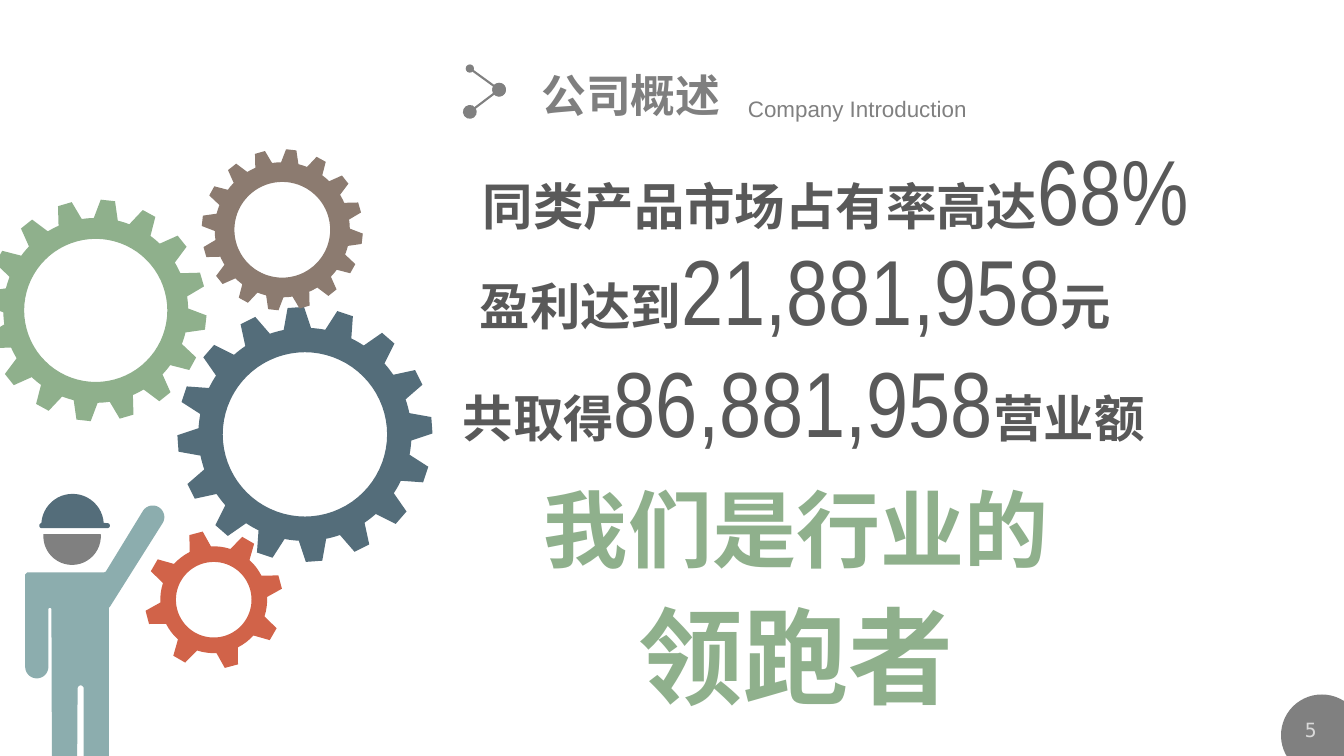
"""Build the company introduction slide: gears and a worker beside key figures."""
from math import cos, radians, sin

from pptx import Presentation
from pptx.dml.color import RGBColor
from pptx.enum.shapes import MSO_CONNECTOR
from pptx.enum.text import MSO_AUTO_SIZE, PP_ALIGN
from pptx.oxml.ns import qn
from pptx.util import Inches, Pt
from lxml.etree import SubElement

CELL = Inches(0.01)
FINE = 100
GRAY, DARK, GREEN, BLUE = "808080", "595959", "8FB08C", "546D7A"
CJK, NARROW = "Noto Sans CJK SC", "Arial Narrow"

prs = Presentation()
prs.slide_width, prs.slide_height = 1333 * CELL, 750 * CELL
sl = prs.slides.add_slide(prs.slide_layouts[6])
shapes = sl.shapes
rgb = RGBColor.from_string


def arc(cx, cy, r, start, end, steps=24):
    angles = [radians(start + (end - start) * i / steps) for i in range(steps + 1)]
    return [(cx + r * cos(a), cy + r * sin(a)) for a in angles]


def text_box(left, top, width, height, wrap=False):
    s = shapes.add_textbox(left * CELL, top * CELL, width * CELL, height * CELL)
    tf = s.text_frame
    tf.word_wrap = wrap
    tf.auto_size = MSO_AUTO_SIZE.SHAPE_TO_FIT_TEXT
    return tf


outlines = [(GRAY, [arc(1311, 729.5, 40.5, 146, 303) + [(1333, 695), (1333, 752), (1277, 752)]])]

gears = [
    (302.5, 431, 126.5, 105.7, 81.5, 16, -4.1, 3.7, 7.4, BLUE),
    (95, 308, 110, 91.7, 71, 16, 6.3, 3.7, 7.5, GREEN),
    (280, 228, 80, 67, 47.5, 16, 6.4, 3.7, 7.4, "8C7B70"),
    (212, 595, 68.5, 53, 37.5, 8, -14.9, 5.7, 11.9, "D16349"),
]
for cx, cy, tip_r, root_r, hole_r, teeth, phase, tip, root, color in gears:
    pitch = 360 / teeth
    rim = []
    for i in range(teeth):
        mid = phase + i * pitch
        rim += arc(cx, cy, tip_r, mid - tip, mid + tip, 1)
        rim += arc(cx, cy, root_r, mid + root, mid + pitch - root, 4)
    outlines.append((color, [rim, arc(cx, cy, hole_r, 360, 0, 72)]))

cap = arc(72, 521, 31, 184, 356) + arc(106.5, 521.5, 2.5, -90, 90) + arc(41.5, 521.5, 2.5, 90, 270)
body = [
    (103, 568), (105, 567), *arc(151.5, 513, 11.5, 212, 392), (109, 602), (108, 603),
    *arc(95.5, 757, 12.5, 0, 180), *arc(80, 683, 3, 0, -180),
    *arc(64, 757, 12.5, 0, 180), *arc(49.5, 604.5, 1.5, 0, -180),
    *arc(36.5, 661.5, 11.5, 0, 180), (25, 570), (27, 568),
]
face = arc(71.5, 532, 28.5, -4, 184)
outlines += [(BLUE, [cap]), ("8CADAE", [body]), (GRAY, [face])]

for color, contours in outlines:
    rings = [[(x * FINE, y * FINE) for x, y in c] for c in contours]
    fb = shapes.build_freeform(*rings[0][0], scale=CELL / FINE)
    fb.add_line_segments(rings[0][1:])
    for ring in rings[1:]:
        fb.move_to(*ring[0])
        fb.add_line_segments(ring[1:])
    s = fb.convert_to_shape()
    s.shadow.inherit = False
    s.fill.solid()
    s.fill.fore_color.rgb = rgb(color)
    s.line.fill.background()

nodes = [(466, 68, "med"), (495, 89, "lg"), (466, 111, "lg")]
for (x1, y1, head), (x2, y2, tail) in zip(nodes, nodes[1:]):
    c = shapes.add_connector(MSO_CONNECTOR.STRAIGHT, x1 * CELL, y1 * CELL, x2 * CELL, y2 * CELL)
    c.line.color.rgb = rgb(GRAY)
    c.line.width = Pt(1.5)
    for tag, size in (("a:headEnd", head), ("a:tailEnd", tail)):
        SubElement(c.line._get_or_add_ln(), qn(tag), type="oval", w=size, len=size)
    SubElement(c._element.spPr, qn("a:effectLst"))

labels = [
    ("公司概述", 527, 62, 200, 64, False, "Arial", 32, True, "7F7F7F", PP_ALIGN.LEFT),
    ("Company Introduction", 732, 89, 252, 37, True, "Arial", 16, False, GRAY, PP_ALIGN.LEFT),
    ("5", 1275, 707, 50, 31, True, "DejaVu Sans Mono", 14, False, "D9D9D9", PP_ALIGN.CENTER),
]
for text, left, top, width, height, wrap, font, size, bold, color, align in labels:
    p = text_box(left, top, width, height, wrap).paragraphs[0]
    p.text, p.alignment = text, align
    p.font.name, p.font.size, p.font.bold = font, Pt(size), bold
    p.font.color.rgb = rgb(color)

figures = [
    (449, 337, 734, ["共取得", "86,881,958", "营业额"]),
    (466, 226, 684, ["盈利达到", "21,881,958", "元"]),
    (469, 127, 739, ["同类产品市场占有率高达", "68%"]),
]
for left, top, width, parts in figures:
    p = text_box(left, top, width, 121).paragraphs[0]
    p.font.color.rgb = rgb(DARK)
    for i, part in enumerate(parts):
        r = p.add_run()
        r.text = part
        number = i == 1
        r.font.name = NARROW if number else CJK
        r.font.size = Pt(66 if number else 36)
        r.font.bold = not number

tf = text_box(527, 459, 525, 260)
tf.text = "我们是行业的\n领跑者"
for p, size in zip(tf.paragraphs, (60, 75)):
    p.alignment, p.line_spacing = PP_ALIGN.CENTER, 1.1
    p.font.name, p.font.size, p.font.bold = NARROW, Pt(size), True
    p.font.color.rgb = rgb(GREEN)

for latin in list(sl._element.iter(qn("a:latin"))):
    ea = SubElement(latin.getparent(), qn("a:ea"), typeface=CJK)
    latin.addnext(ea)

prs.save("out.pptx")
